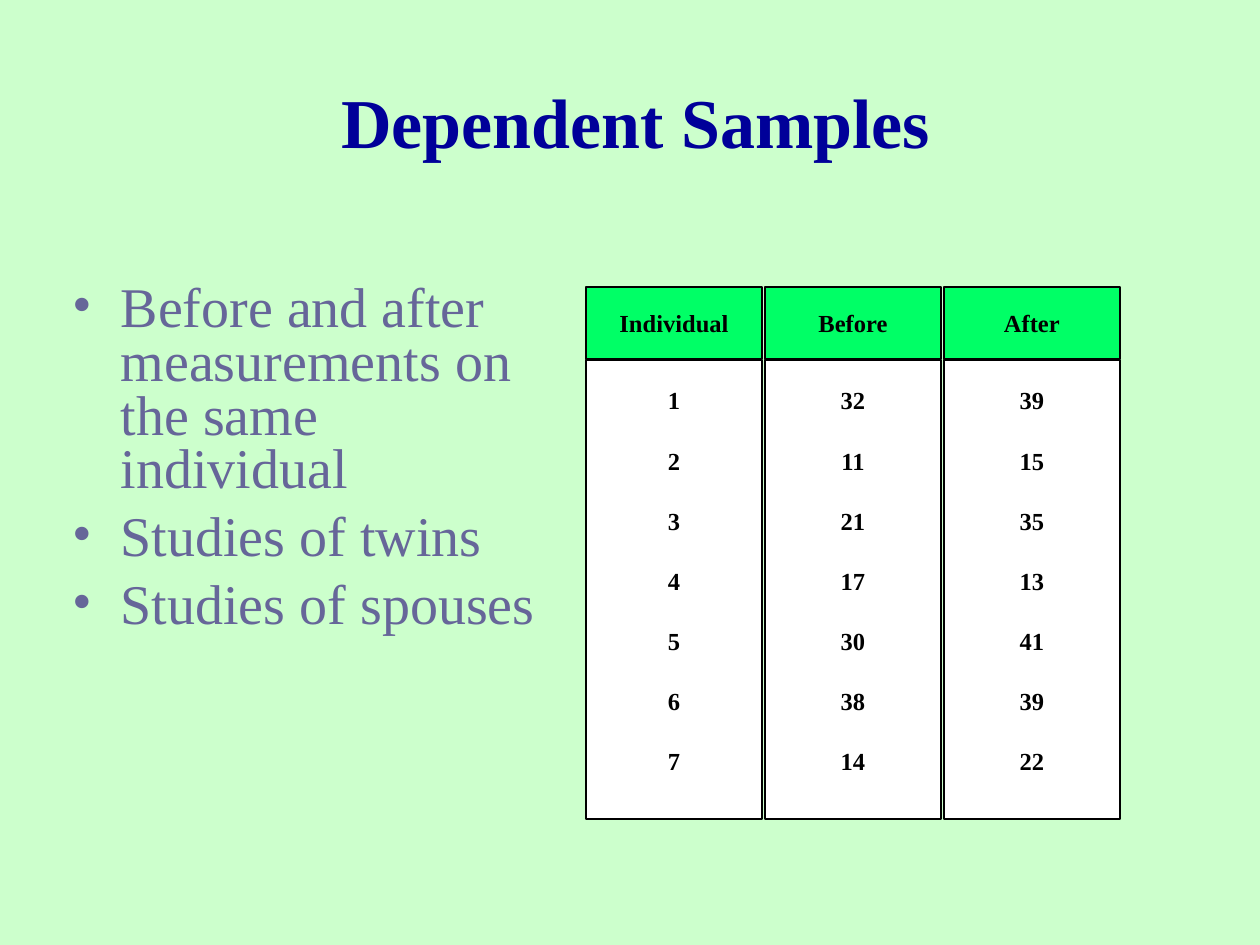
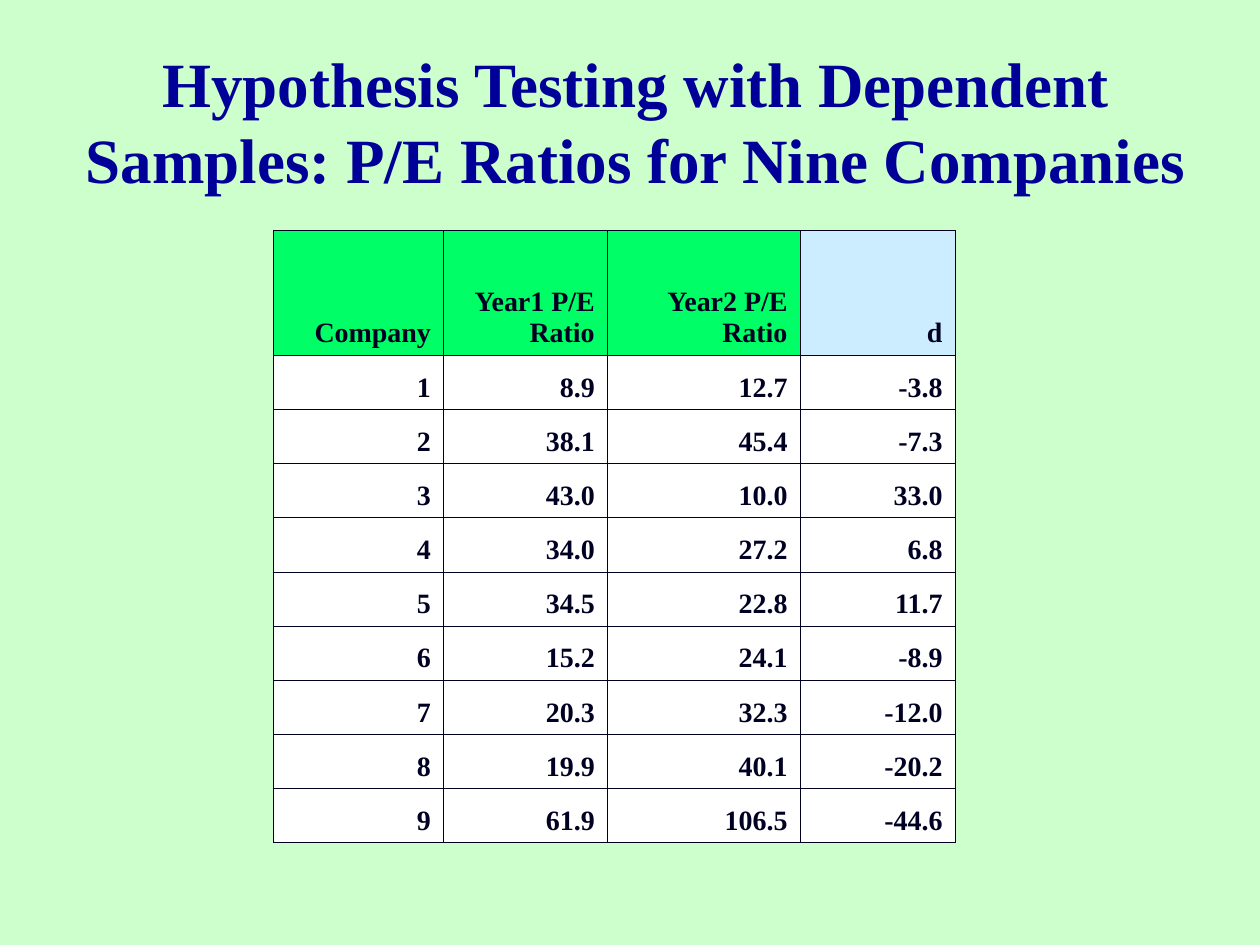
"""Build two slides on dependent samples."""
from lxml import etree
from pptx import Presentation
from pptx import util as u
from pptx.dml import color
from pptx.enum import shapes, text
from pptx.oxml import ns

FONT = "Times New Roman"
BACK, NAVY, SLATE, INK = "CCFFCC", "000099", "666699", "000022"
GREEN, SKY, WHITE, BLACK = "00FF66", "CCECFF", "FFFFFF", "000000"

TITLES = [
    ("Dependent Samples", 40),
    ("Hypothesis Testing with Dependent Samples: P/E Ratios for Nine Companies", 36),
]
USES = [
    "Before and after measurements on the same individual",
    "Studies of twins",
    "Studies of spouses",
]
TRIALS = {
    "Individual": range(1, 8),
    "Before": [32, 11, 21, 17, 30, 38, 14],
    "After": [39, 15, 35, 13, 41, 39, 22],
}
HEADS = ["Company", "Year1 P/E Ratio", "Year2 P/E Ratio", "d"]
RATIOS = [
    (8.9, 12.7), (38.1, 45.4), (43.0, 10.0), (34.0, 27.2), (34.5, 22.8),
    (15.2, 24.1), (20.3, 32.3), (19.9, 40.1), (61.9, 106.5),
]
WIDTHS = [1.35, 1.3, 1.53, 1.23]
HEAD, ROW = 0.99, 0.43
LEFT, TOP, COL, STEP = 4.65, 2.28, 1.4, 1.42
CAP, BODY = 0.57, 3.64


def rgb(code):
    """Turn a hex string into a colour."""
    return color.RGBColor.from_string(code)


def paint(part, code):
    """Fill a shape, cell or background with one colour."""
    part.fill.solid()
    part.fill.fore_color.rgb = rgb(code)


def node(up, tag, **keys):
    """Add an XML element under another."""
    return etree.SubElement(up, ns.qn(tag), **keys)


def write(frame, lines, size=14, hue=BLACK, bold=True, align="CENTER",
          anchor="MIDDLE", pad=(0.1, 0.05), gap=0, lead=None, dot=None):
    """Write paragraphs into a text frame."""
    frame.word_wrap = True
    frame.auto_size = text.MSO_AUTO_SIZE.NONE
    frame.vertical_anchor = getattr(text.MSO_ANCHOR, anchor)
    frame.margin_left = frame.margin_right = u.Inches(pad[0])
    frame.margin_top = frame.margin_bottom = u.Inches(pad[1])
    for i, line in enumerate(lines):
        para = frame.add_paragraph() if i else frame.paragraphs[0]
        para.alignment = getattr(text.PP_ALIGN, align)
        para.space_before = u.Pt(gap if i else 0)
        if lead:
            para.line_spacing = lead
        if dot:
            props = para._p.get_or_add_pPr()
            props.set("marL", str(u.Inches(0.38)))
            props.set("indent", str(u.Inches(-0.38)))
            node(node(props, "a:buClr"), "a:srgbClr", val=hue)
            node(props, "a:buFont", typeface=FONT)
            node(props, "a:buChar", char=dot)
        run = para.add_run()
        run.text = str(line)
        run.font.name, run.font.size, run.font.bold = FONT, u.Pt(size), bold
        run.font.color.rgb = rgb(hue)


def start(deck, title, size):
    """Add a slide with its background and title."""
    page = deck.slides.add_slide(deck.slide_layouts[5])
    paint(page.background, BACK)
    head = page.shapes.title
    head.left, head.top, head.width, head.height = map(
        u.Inches, (0.42, 0.33, 9.25, 1.25))
    write(head.text_frame, [title], size=size, hue=NAVY)
    return page


def panel(page, x, y, high, code, lines, **form):
    """Add one outlined panel of the trial grid."""
    box = page.shapes.add_shape(
        shapes.MSO_SHAPE.RECTANGLE, *map(u.Inches, (x, y, COL, high)))
    box.shadow.inherit = False
    paint(box, code)
    box.line.color.rgb, box.line.width = rgb(BLACK), u.Pt(1)
    write(box.text_frame, lines, **form)


def edge(cell):
    """Draw thin borders round a cell."""
    props = cell._tc.get_or_add_tcPr()
    for i, side in enumerate("LRTB"):
        line = etree.Element(ns.qn("a:ln" + side), w=str(u.Pt(0.45)))
        node(node(line, "a:solidFill"), "a:srgbClr", val=INK)
        props.insert(i, line)


def trials(page):
    """Add the list of uses and the trial grid."""
    box = page.shapes.add_textbox(*map(u.Inches, (0.48, 2.21, 3.88, 3.77)))
    write(box.text_frame, USES, size=32, hue=SLATE, bold=False, align="LEFT",
          anchor="TOP", gap=8, lead=0.8, dot="•")
    for i, (name, vals) in enumerate(TRIALS.items()):
        x = LEFT + i * STEP
        panel(page, x, TOP, CAP, GREEN, [name])
        panel(page, x, TOP + CAP + 0.01, BODY, WHITE, vals,
              anchor="TOP", pad=(0.2, 0.2), gap=17.5)


def ratios(page):
    """Add the table of ratios and their differences."""
    rows = [HEADS] + [
        (i, f"{a:.1f}", f"{b:.1f}", f"{a - b:.1f}")
        for i, (a, b) in enumerate(RATIOS, 1)]
    size = (2.17, 1.83, sum(WIDTHS), HEAD + ROW * len(RATIOS))
    grid = page.shapes.add_table(
        len(rows), len(HEADS), *map(u.Inches, size)).table
    for col, wide in zip(grid.columns, WIDTHS):
        col.width = u.Inches(wide)
    for r, row in enumerate(rows):
        grid.rows[r].height = u.Inches(ROW if r else HEAD)
        for c, val in enumerate(row):
            cell = grid.cell(r, c)
            paint(cell, WHITE if r else SKY if val == "d" else GREEN)
            edge(cell)
            write(cell.text_frame, [val], size=16, hue=INK, align="RIGHT")
            cell.vertical_anchor = text.MSO_ANCHOR.BOTTOM
            cell.margin_left = cell.margin_right = u.Inches(0.1)
            cell.margin_top = cell.margin_bottom = u.Inches(0.05)


def main():
    """Build and save the deck."""
    deck = Presentation()
    deck.slide_width, deck.slide_height = u.Inches(10), u.Inches(7.5)
    for (title, size), fill in zip(TITLES, (trials, ratios)):
        fill(start(deck, title, size))
    deck.save("out.pptx")


if __name__ == "__main__":
    main()
